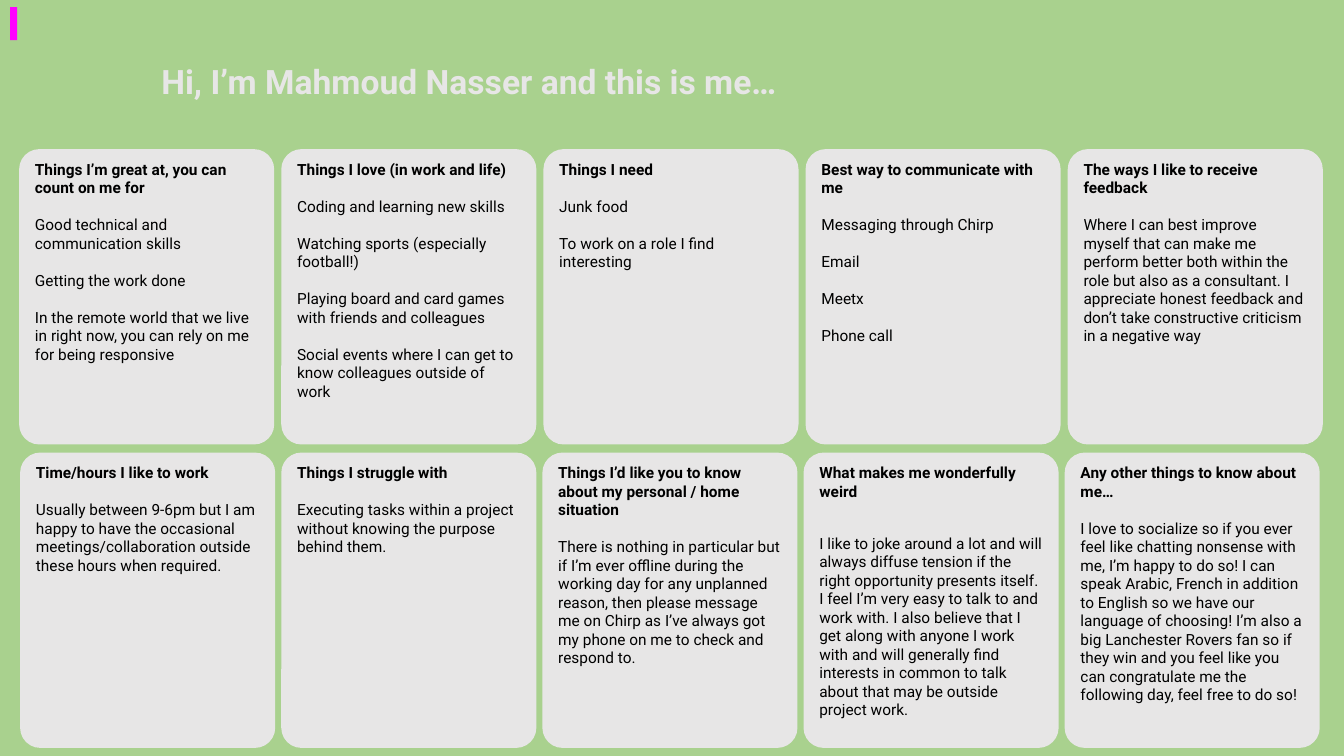
import pptx
import pptx.util
import pptx.dml.color
import pptx.enum.shapes
import pptx.enum.text

Inches = pptx.util.Inches
Pt = pptx.util.Pt
Shape = pptx.enum.shapes.MSO_SHAPE

GREEN, GREY, BLACK, MAGENTA = "A9D18E", "E7E6E6", "000000", "FF00FF"
FONT = "Roboto"
LINE_GAP, WIDE_GAP = 13.2, 24
CARD_WIDTH, CARD_HEIGHT, CORNER = 2.53, 2.93, 0.079

TITLE = "Hi, I’m Mahmoud Nasser and this is me…"

TOP_CARDS = [
    ("Things I’m great at, you can count on me for", LINE_GAP, [
        "Good technical and communication skills",
        "Getting the work done",
        "In the remote world that we live in right now, you can rely on me "
        "for being responsive"]),
    ("Things I love (in work and life)", LINE_GAP, [
        "Coding and learning new skills",
        "Watching sports (especially football!)",
        "Playing board and card games with friends and colleagues",
        "Social events where I can get to know colleagues outside of work"]),
    ("Things I need", LINE_GAP, [
        "Junk food",
        "To work on a role I find interesting"]),
    ("Best way to communicate with me", LINE_GAP, [
        "Messaging through Chirp", "Email", "Meetx", "Phone call"]),
    ("The ways I like to receive feedback", LINE_GAP, [
        "Where I can best improve myself that can make me perform better both "
        "within the role but also as a consultant. I appreciate honest "
        "feedback and don’t take constructive criticism in a negative way"]),
]

BOTTOM_CARDS = [
    ("Time/hours I like to work", LINE_GAP, [
        "Usually between 9-6pm but I am happy to have the occasional "
        "meetings/collaboration outside these hours when required."]),
    ("Things I struggle with", LINE_GAP, [
        "Executing tasks within a project without knowing the purpose "
        "behind them."]),
    ("Things I’d like you to know about my personal / home situation", LINE_GAP, [
        "There is nothing in particular but if I’m ever offline during the "
        "working day for any unplanned reason, then please message me on "
        "Chirp as I’ve always got my phone on me to check and respond to."]),
    ("What makes me wonderfully weird", WIDE_GAP, [
        "I like to joke around a lot and will always diffuse tension if the "
        "right opportunity presents itself. I feel I’m very easy to talk to "
        "and work with. I also believe that I get along with anyone I work "
        "with and will generally find interests in common to talk about that "
        "may be outside project work."]),
    ("Any other things to know about me…", LINE_GAP, [
        "I love to socialize so if you ever feel like chatting nonsense with "
        "me, I’m happy to do so! I can speak Arabic, French in addition to "
        "English so we have our language of choosing! I’m also a big "
        "Lanchester Rovers fan so if they win and you feel like you can "
        "congratulate me the following day, feel free to do so!"]),
]

ROWS = [
    {"left": 0.19, "pitch": 2.6, "top": 1.48, "cards": TOP_CARDS},
    {"left": 0.2, "pitch": 2.59, "top": 4.49, "cards": BOTTOM_CARDS},
]


def paint(fill, color):
    fill.solid()
    fill.fore_color.rgb = pptx.dml.color.RGBColor.from_string(color)


def write(para, text, size=11, color=BLACK, bold=False, before=0, spacing=1.0):
    para.alignment = pptx.enum.text.PP_ALIGN.LEFT
    para.space_before = Pt(before)
    para.line_spacing = spacing
    span = para.add_run()
    span.text = text
    span.font.name = FONT
    span.font.size = Pt(size)
    span.font.bold = bold
    paint(span.font.fill, color)


def add_box(page, kind, left, top, width, height, color):
    box = page.shapes.add_shape(
        kind, Inches(left), Inches(top), Inches(width), Inches(height))
    box.shadow.inherit = False
    paint(box.fill, color)
    box.line.fill.background()
    return box


def add_card(page, left, top, heading, gap, notes):
    card = add_box(page, Shape.ROUNDED_RECTANGLE, left, top,
                   CARD_WIDTH, CARD_HEIGHT, GREY)
    card.adjustments[0] = CORNER
    frame = card.text_frame
    frame.word_wrap = True
    frame.vertical_anchor = pptx.enum.text.MSO_ANCHOR.TOP
    write(frame.paragraphs[0], heading, bold=True)
    for note in notes:
        write(frame.add_paragraph(), note, before=gap)


deck = pptx.Presentation()
deck.slide_width, deck.slide_height = Inches(13.33), Inches(7.5)
page = deck.slides.add_slide(deck.slide_layouts[5])
paint(page.background.fill, GREEN)

title = page.shapes.title
title.left, title.top = Inches(1.5), Inches(0.53)
title.width, title.height = Inches(6.4), Inches(0.45)
title.text_frame.word_wrap = True
title.text_frame.vertical_anchor = pptx.enum.text.MSO_ANCHOR.TOP
write(title.text_frame.paragraphs[0], TITLE, size=24, color=GREY, bold=True,
      before=10, spacing=1.05)

add_box(page, Shape.RECTANGLE, 0.1, 0.07, 0.07, 0.33, MAGENTA)

for row in ROWS:
    for column, (heading, gap, notes) in enumerate(row["cards"]):
        add_card(page, row["left"] + column * row["pitch"], row["top"],
                 heading, gap, notes)

deck.save("out.pptx")
